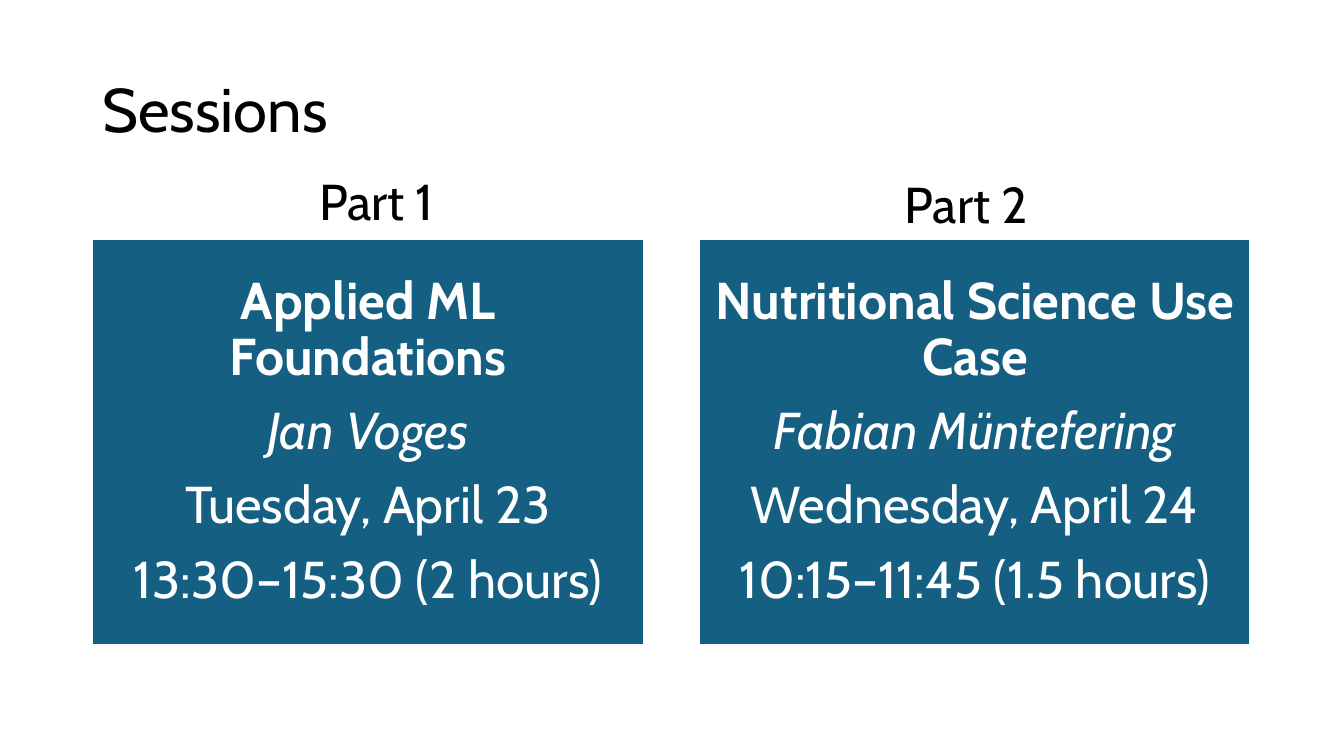
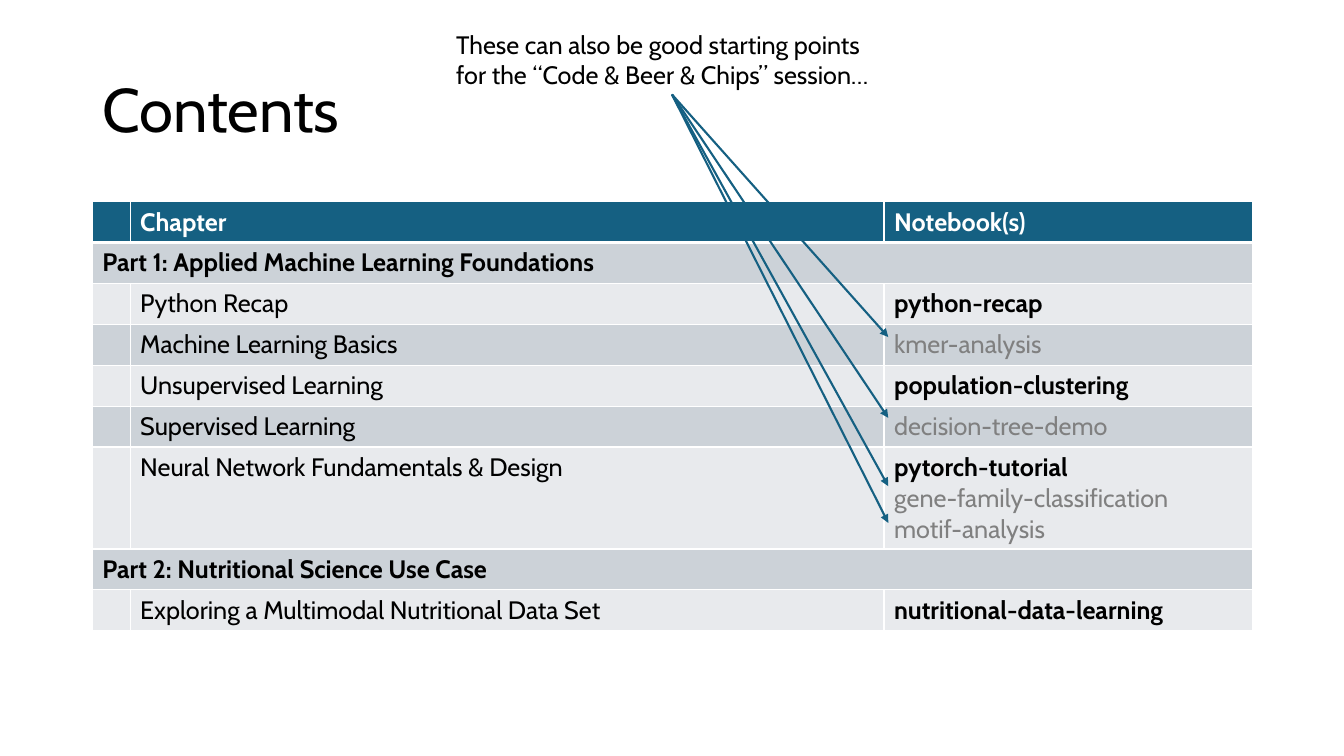
from pptx import Presentation
from pptx.dml.color import RGBColor
from pptx.enum.shapes import MSO_CONNECTOR, MSO_SHAPE
from pptx.enum.text import MSO_ANCHOR, PP_ALIGN
from pptx.oxml import parse_xml
from pptx.oxml.ns import nsdecls
from pptx.util import Emu, Pt

PX = 9525  # 96 px to the inch
FONT = "Cabin"
BLUE, WHITE, BLACK, GREY = "156082", "FFFFFF", "000000", "808080"
BAND_DARK, BAND_LIGHT = "CCD2D8", "E8EAED"
LEFT = 88


def color(hex_string):
    return RGBColor.from_string(hex_string)


def write(frame, *lines, size=18, fill=BLACK, align=PP_ALIGN.LEFT, spacing=None, after=None):
    """Fill a text frame; each line is a string or a (text, format) pair."""
    frame.word_wrap = True
    for index, line in enumerate(lines):
        text, style = (line, {}) if isinstance(line, str) else line
        para = frame.paragraphs[0] if index == 0 else frame.add_paragraph()
        para.alignment = align
        if spacing:
            para.line_spacing = spacing
        if after:
            para.space_after = Pt(after)
        span = para.add_run()
        span.text = text
        span.font.name = FONT
        span.font.size = Pt(size)
        span.font.bold = style.get("bold", False)
        span.font.italic = style.get("italic", False)
        span.font.color.rgb = color(style.get("fill", fill))


deck = Presentation()
deck.slide_width, deck.slide_height = Emu(1280 * PX), Emu(720 * PX)

# Pages with the shared title style
pages = []
for title in ("Sessions", "Contents"):
    page = deck.slides.add_slide(deck.slide_layouts[6])
    box = page.shapes.add_textbox(LEFT * PX, 38 * PX, 1104 * PX, 139 * PX)
    box.text_frame.vertical_anchor = MSO_ANCHOR.MIDDLE
    write(box.text_frame, title, size=44, spacing=0.9)
    pages.append(page)
sessions_page, contents_page = pages

# Session cards: label, label left, label top, then the card lines
CARD_WIDTH, CARD_GAP = 525, 58
sessions = [
    ("Part 1", 219, 157, "Applied ML Foundations", "Jan Voges",
     "Tuesday, April 23", "13:30–15:30 (2 hours)"),
    ("Part 2", 781, 160, "Nutritional Science Use Case", "Fabian Müntefering",
     "Wednesday, April 24", "10:15–11:45 (1.5 hours)"),
]
for index, (label, label_left, label_top, topic, speaker, day, time) in enumerate(sessions):
    card_left = LEFT + index * (CARD_WIDTH + CARD_GAP - 5)
    card = sessions_page.shapes.add_shape(
        MSO_SHAPE.RECTANGLE, card_left * PX, 228 * PX, CARD_WIDTH * PX, 386 * PX)
    card.shadow.inherit = False
    card.fill.solid()
    card.fill.fore_color.rgb = color(BLUE)
    card.line.color.rgb = color(WHITE)
    card.line.width = Pt(1.5)
    frame = card.text_frame
    frame.vertical_anchor = MSO_ANCHOR.MIDDLE
    frame.margin_left = frame.margin_right = frame.margin_top = frame.margin_bottom = 14 * PX
    write(frame, (topic, {"bold": True}), (speaker, {"italic": True}), day, time,
          size=37, fill=WHITE, align=PP_ALIGN.CENTER, spacing=0.9, after=13)

    box = sessions_page.shapes.add_textbox(label_left * PX, label_top * PX, 279 * PX, 68 * PX)
    write(box.text_frame, label, size=36, align=PP_ALIGN.CENTER)

# Contents table: a row without notebooks is a part heading
BOLD, OPTIONAL = {"bold": True}, {"fill": GREY}
HEADER = {"bold": True, "fill": WHITE}
rows = [
    (("Chapter", HEADER), [("Notebook(s)", HEADER)]),
    (("Part 1: Applied Machine Learning Foundations", BOLD), []),
    ("Python Recap", [("python-recap", BOLD)]),
    ("Machine Learning Basics", [("kmer-analysis", OPTIONAL)]),
    ("Unsupervised Learning", [("population-clustering", BOLD)]),
    ("Supervised Learning", [("decision-tree-demo", OPTIONAL)]),
    ("Neural Network Fundamentals & Design",
     [("pytorch-tutorial", BOLD), ("gene-family-classification", OPTIONAL),
      ("motif-analysis", OPTIONAL)]),
    (("Part 2: Nutritional Science Use Case", BOLD), []),
    ("Exploring a Multimodal Nutritional Data Set", [("nutritional-data-learning", BOLD)]),
]
COLUMN_WIDTHS = (36, 718, 351)
ROW_HEIGHT, EXTRA_LINE = 39, 29
table = contents_page.shapes.add_table(
    len(rows), 3, LEFT * PX, 192 * PX, sum(COLUMN_WIDTHS) * PX,
    len(rows) * ROW_HEIGHT * PX).table
for column, width in zip(table.columns, COLUMN_WIDTHS):
    column.width = Emu(width * PX)

for index, (chapter, notebooks) in enumerate(rows):
    extra_lines = max(len(notebooks) - 1, 0)
    table.rows[index].height = Emu((ROW_HEIGHT + extra_lines * EXTRA_LINE) * PX)
    band = BLUE if index == 0 else BAND_DARK if index % 2 else BAND_LIGHT
    cells = [table.cell(index, column) for column in range(3)]
    for cell in cells:
        properties = cell._tc.get_or_add_tcPr()
        for side in "LRTB":
            under_header = (index, side) in ((0, "B"), (1, "T"))
            width = Pt(3 if under_header else 1)
            properties.append(parse_xml(
                f'<a:ln{side} {nsdecls("a")} w="{width}"><a:solidFill>'
                f'<a:srgbClr val="{WHITE}"/></a:solidFill></a:ln{side}>'))
        cell.fill.solid()
        cell.fill.fore_color.rgb = color(band)
    if notebooks:
        write(cells[1].text_frame, chapter)
        write(cells[2].text_frame, *notebooks)
    else:
        cells[0].merge(cells[2])
        write(cells[0].text_frame, chapter)

# Callout with arrows to the optional notebooks
box = contents_page.shapes.add_textbox(425 * PX, 23 * PX, 429 * PX, 68 * PX)
write(box.text_frame,
      "These can also be good starting points for the “Code & Beer & Chips” session…")
for target in (498, 463, 321, 398):
    arrow = contents_page.shapes.add_connector(
        MSO_CONNECTOR.STRAIGHT, 640 * PX, 90 * PX, 846 * PX, target * PX)
    arrow.line.color.rgb = color(BLUE)
    arrow.line.width = Pt(1.5)
    arrow.line._get_or_add_ln().append(parse_xml(f'<a:tailEnd {nsdecls("a")} type="triangle"/>'))
    arrow._element.spPr.append(parse_xml(f'<a:effectLst {nsdecls("a")}/>'))

deck.save("out.pptx")
